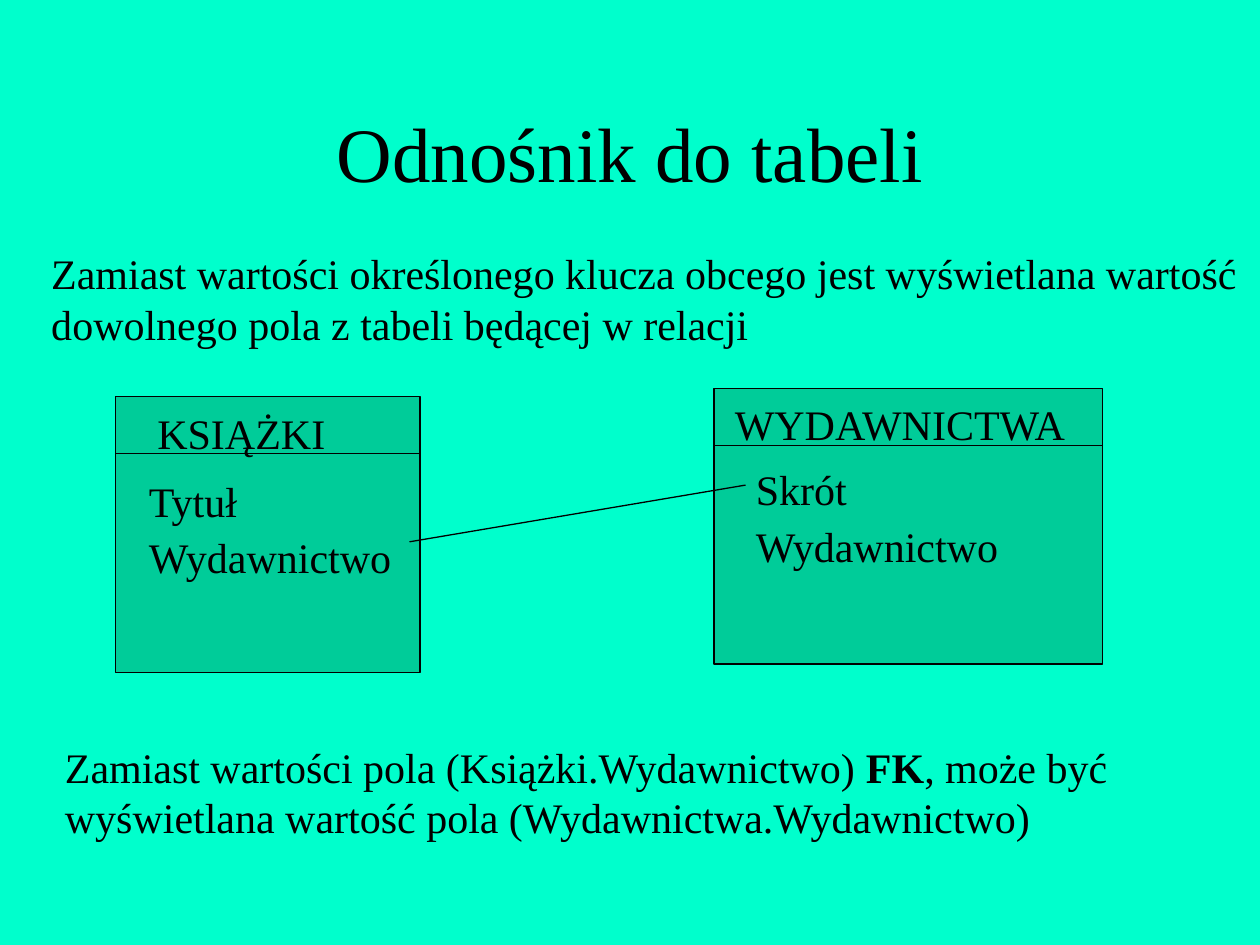
from lxml import etree
from pptx import Presentation
from pptx.dml.color import RGBColor
from pptx.enum.shapes import MSO_CONNECTOR, MSO_SHAPE
from pptx.enum.text import MSO_ANCHOR, MSO_AUTO_SIZE, PP_ALIGN
from pptx.oxml.ns import qn
from pptx.util import Inches, Pt

MINT = RGBColor(0x00, 0xFF, 0xCC)
GREEN = RGBColor(0x00, 0xCC, 0x99)
BLACK = RGBColor(0x00, 0x00, 0x00)

prs = Presentation()
prs.slide_width, prs.slide_height = Inches(10), Inches(7.5)
slide = prs.slides.add_slide(prs.slide_layouts[6])
slide.background.fill.solid()
slide.background.fill.fore_color.rgb = MINT

# Grid of 120 columns by 90 rows
COL = prs.slide_width / 120
ROW = prs.slide_height / 90


def add_text(shapes, box, lines, size=24, wrap=False):
    """Write lines of (text, bold) runs into one paragraph."""
    left, top, width, height = box
    label = shapes.add_textbox(int(left * COL), int(top * ROW), int(width * COL), int(height * ROW))
    label.text_frame.word_wrap = wrap
    if not wrap:
        label.text_frame.auto_size = MSO_AUTO_SIZE.SHAPE_TO_FIT_TEXT
    paragraph = label.text_frame.paragraphs[0]
    style = {"name": "Times New Roman", "size": Pt(size)}
    for number, line in enumerate(lines):
        if number:
            paragraph.add_line_break()
        for text, bold in line:
            run = paragraph.add_run()
            run.text = text
            for key, value in {**style, "bold": bold}.items():
                setattr(run.font, key, value)
            run.font.color.rgb = BLACK
    return label


def add_rule(shapes, x1, y1, x2, y2):
    """Draw a thin black line between two grid points."""
    rule = shapes.add_connector(
        MSO_CONNECTOR.STRAIGHT, int(x1 * COL), int(y1 * ROW), int(x2 * COL), int(y2 * ROW))
    rule.line.color.rgb = BLACK
    rule.line.width = Pt(0.75)
    etree.SubElement(rule._element.spPr, qn("a:effectLst"))


# Title
title = add_text(slide.shapes, (9, 8, 102, 13), [[("Odnośnik do tabeli", False)]], 44, True)
title.text_frame.vertical_anchor = MSO_ANCHOR.MIDDLE
title.text_frame.paragraphs[0].alignment = PP_ALIGN.CENTER

# Introduction
add_text(slide.shapes, (3.7, 23, 116.3, 10.8), [
    [("Zamiast wartości określonego klucza obcego jest wyświetlana wartość", False)],
    [("dowolnego pola z tabeli będącej w relacji", False)],
])

# Related tables: left, top, width, heading (text, x, y, width), fields x, first field y, fields
ENTITY_HEIGHT, HEADING_HEIGHT, FIELD_STEP, LABEL_HEIGHT = 26.25, 5.4, 5.35, 6
entities = [
    (11, 37.8, 29, ("KSIĄŻKI", 13.8, 38.2, 18.4), 13, 44.7, ("Tytuł", "Wydawnictwo")),
    (68, 37, 37, ("WYDAWNICTWA", 68.8, 37.4, 34.6), 70.8, 43.6, ("Skrót", "Wydawnictwo")),
]
diagram = slide.shapes.add_group_shape().shapes
for left, top, width, heading, field_x, field_y, fields in entities:
    entity = diagram.add_shape(
        MSO_SHAPE.RECTANGLE, int(left * COL), int(top * ROW),
        int(width * COL), int(ENTITY_HEIGHT * ROW))
    entity.shadow.inherit = False
    entity.fill.solid()
    entity.fill.fore_color.rgb = GREEN
    entity.line.color.rgb = BLACK
    entity.line.width = Pt(0.75)
    name, name_x, name_y, name_width = heading
    add_text(diagram, (name_x, name_y, name_width, LABEL_HEIGHT), [[(name, False)]])
    divider_y = top + HEADING_HEIGHT
    add_rule(diagram, left, divider_y, left + width, divider_y)
    for row, field in enumerate(fields):
        field_width = 25.7 if field == "Wydawnictwo" else 11.2
        add_text(diagram, (field_x, field_y + row * FIELD_STEP, field_width, LABEL_HEIGHT),
                 [[(field, False)]])

# Relation from the foreign key to the publisher's short name
add_rule(diagram, 39, 51.6, 71, 46.2)

# Conclusion
add_text(slide.shapes, (5, 70, 102.8, 10.8), [
    [("Zamiast wartości pola (Książki.Wydawnictwo) ", False), ("FK", True), (", może być", False)],
    [("wyświetlana wartość pola (Wydawnictwa.Wydawnictwo)", False)],
])

prs.save("out.pptx")
